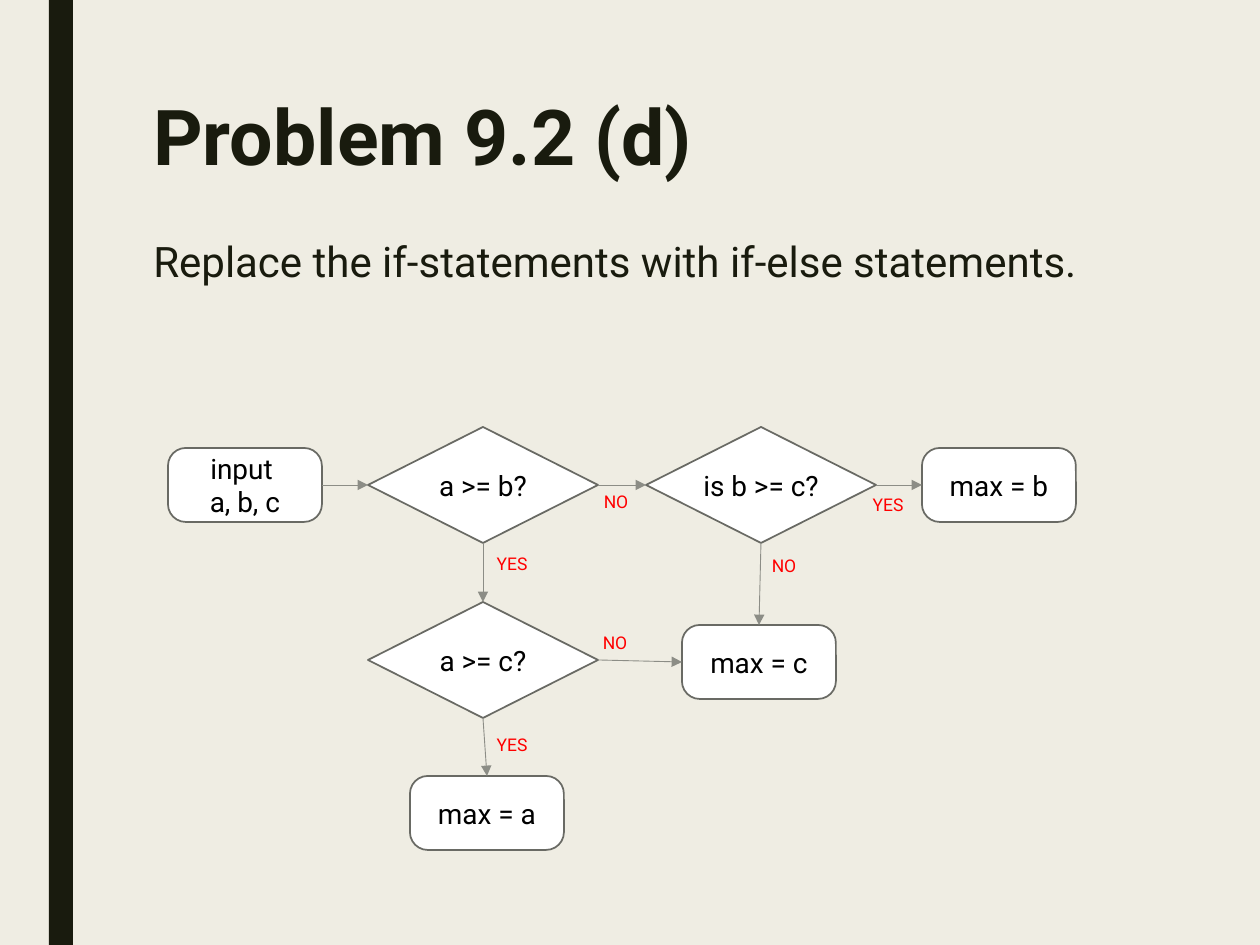
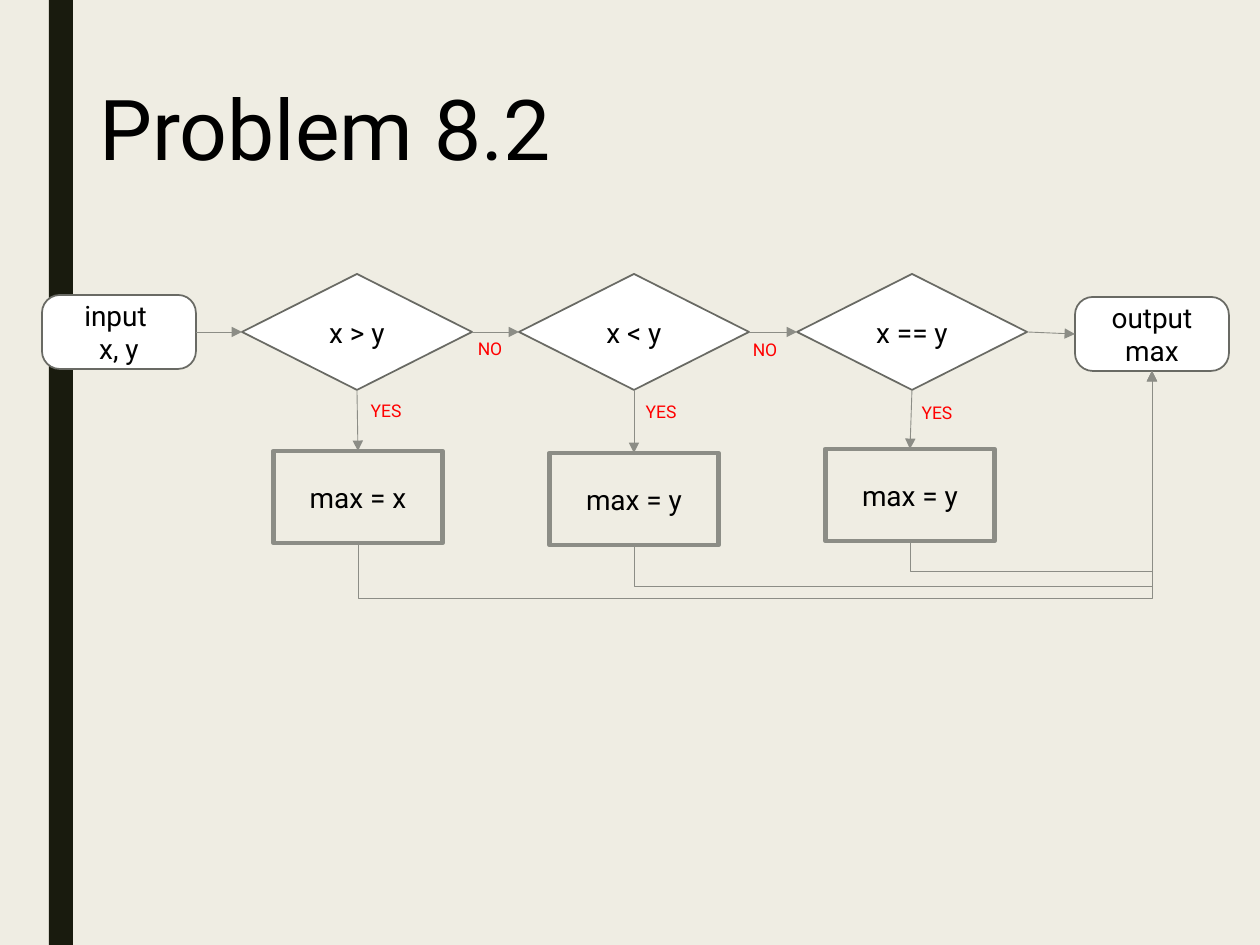
from lxml.etree import SubElement
from pptx import Presentation
from pptx.dml.color import RGBColor
from pptx.enum.shapes import MSO_CONNECTOR, MSO_SHAPE
from pptx.enum.text import MSO_ANCHOR, PP_ALIGN
from pptx.oxml.ns import qn
from pptx.util import Emu, Pt

PX_PER_INCH = 126
PAGE_WIDTH, PAGE_HEIGHT = 1260, 945
FONT = "Roboto"
COLORS = {
    "paper": "EFEDE3", "ink": "191B0E", "black": "000000", "white": "FFFFFF",
    "outline": "696A64", "gray": "8C8D86", "answer": "FF0000",
}
TOP, LEFT, BOTTOM, RIGHT = range(4)
DOWN, ACROSS = (BOTTOM, TOP), (RIGHT, LEFT)

NODE_STYLES = {
    "terminal": dict(shape=MSO_SHAPE.ROUNDED_RECTANGLE, size=(154, 74),
                     fill="white", line="outline", weight=1, wrap=True),
    "decision": dict(shape=MSO_SHAPE.DIAMOND, size=(230, 116),
                     fill="white", line="outline", weight=1, wrap=False),
    "process": dict(shape=MSO_SHAPE.RECTANGLE, size=(169, 92),
                    fill=None, line="gray", weight=2.75, wrap=True),
}
LABEL_SIZES = {"YES": (43, 29), "NO": (34, 29)}

SLIDES = [
    {
        "texts": [
            dict(text="Problem 9.2 (d)", frame=(141, 94, 993, 204), size=44,
                 color="ink", bold=True, spacing=0.89),
            dict(text="Replace the if-statements with if-else statements.",
                 frame=(141, 233, 993, 532), size=24, color="ink", spacing=0.94),
        ],
        "nodes": {
            "input": ("terminal", "input \na, b, c", 245, 485),
            "a or b": ("decision", "a >= b?", 483, 485),
            "b or c": ("decision", "is b >= c?", 761, 485),
            "max b": ("terminal", "max = b", 999, 485),
            "a or c": ("decision", "a >= c?", 483, 660),
            "max c": ("terminal", "max = c", 759, 662),
            "max a": ("terminal", "max = a", 487, 813),
        },
        "links": [
            ("input", "a or b", ACROSS, None),
            ("a or b", "b or c", ACROSS, ("NO", 616, 501)),
            ("b or c", "max b", ACROSS, ("YES", 888, 504)),
            ("a or b", "a or c", DOWN, ("YES", 512, 563)),
            ("a or c", "max c", ACROSS, ("NO", 615, 642)),
            ("b or c", "max c", DOWN, ("NO", 784, 565)),
            ("a or c", "max a", DOWN, ("YES", 512, 744)),
        ],
        "returns": [],
    },
    {
        "texts": [
            dict(text="Problem 8.2", frame=(87, 50, 1086, 135), size=48,
                 color="black", spacing=0.9, anchor=MSO_ANCHOR.BOTTOM),
        ],
        "nodes": {
            "input": ("terminal", "input \nx, y", 119, 332),
            "greater": ("decision", "x > y", 357, 332),
            "less": ("decision", "x < y", 634, 332),
            "equal": ("decision", "x == y", 912, 332),
            "output": ("terminal", "output max", 1152, 334),
            "max x": ("process", "max = x", 358, 497),
            "max y less": ("process", "max = y", 634, 499),
            "max y equal": ("process", "max = y", 910, 495),
        },
        "links": [
            ("input", "greater", ACROSS, None),
            ("greater", "less", ACROSS, ("NO", 490, 348)),
            ("less", "equal", ACROSS, ("NO", 765, 349)),
            ("equal", "output", ACROSS, None),
            ("greater", "max x", DOWN, ("YES", 386, 410)),
            ("less", "max y less", DOWN, ("YES", 661, 411)),
            ("equal", "max y equal", DOWN, ("YES", 937, 412)),
        ],
        "returns": [
            ("max y equal", "output", 572),
            ("max y less", "output", 586),
            ("max x", "output", 598),
        ],
    },
]


def px(length):
    return Emu(round(length * 914400 / PX_PER_INCH))


def color(name):
    return RGBColor.from_string(COLORS[name])


def centered(x, y, size):
    width, height = size
    return [px(n) for n in (x - width / 2, y - height / 2, width, height)]


def write(box, text, size, ink, bold=False, align=PP_ALIGN.LEFT,
          anchor=MSO_ANCHOR.TOP, wrap=True, spacing=None, margin=None):
    frame = box.text_frame
    frame.text = text
    frame.word_wrap = wrap
    frame.vertical_anchor = anchor
    if margin is not None:
        frame.margin_left = frame.margin_right = px(margin)
        frame.margin_top = frame.margin_bottom = px(margin)
    for paragraph in frame.paragraphs:
        paragraph.alignment = align
        if spacing:
            paragraph.line_spacing = spacing
        for span in paragraph.runs:
            span.font.name = FONT
            span.font.size = Pt(size)
            span.font.bold = bold
            span.font.color.rgb = color(ink)


def add_band(page):
    band = page.shapes.add_shape(MSO_SHAPE.RECTANGLE, px(49), 0, px(24), px(PAGE_HEIGHT))
    band.shadow.inherit = False
    band.fill.solid()
    band.fill.fore_color.rgb = color("ink")
    band.line.fill.background()


def add_text(page, text, frame, size, color, **options):
    box = page.shapes.add_textbox(*[px(n) for n in frame])
    write(box, text, size, color, **options)


def add_node(page, kind, text, x, y):
    style = NODE_STYLES[kind]
    node = page.shapes.add_shape(style["shape"], *centered(x, y, style["size"]))
    node.shadow.inherit = False
    if kind == "terminal":
        node.adjustments[0] = 0.24
    if style["fill"]:
        node.fill.solid()
        node.fill.fore_color.rgb = color(style["fill"])
    else:
        node.fill.background()
    node.line.color.rgb = color(style["line"])
    node.line.width = Pt(style["weight"])
    write(node, text, 16, "black", align=PP_ALIGN.CENTER,
          anchor=MSO_ANCHOR.MIDDLE, wrap=style["wrap"], margin=4)
    return node


def add_label(page, text, x, y):
    box = page.shapes.add_textbox(*centered(x, y, LABEL_SIZES[text]))
    write(box, text, 10, "answer", align=PP_ALIGN.CENTER,
          anchor=MSO_ANCHOR.MIDDLE, wrap=False, margin=4)


def style_arrow(arrow):
    arrow.line.color.rgb = color("gray")
    arrow.line.width = Pt(0.5)
    properties = arrow.element.spPr
    SubElement(properties.find(qn("a:ln")), qn("a:tailEnd"), type="triangle")
    SubElement(properties, qn("a:effectLst"))


def add_link(page, start, end, sides):
    arrow = page.shapes.add_connector(MSO_CONNECTOR.STRAIGHT, 0, 0, 0, 0)
    arrow.begin_connect(start, sides[0])
    arrow.end_connect(end, sides[1])
    style_arrow(arrow)


def add_return(page, start, end, lane):
    begin_x, begin_y = start.left + start.width // 2, start.top + start.height
    end_x, end_y = end.left + end.width // 2, end.top + end.height
    middle_x, middle_y = (begin_x + end_x) // 2, (begin_y + end_y) // 2
    half_rise, half_run = (begin_y - end_y) // 2, (end_x - begin_x) // 2
    arrow = page.shapes.add_connector(
        MSO_CONNECTOR.ELBOW, middle_x + half_rise, middle_y + half_run,
        middle_x - half_rise, middle_y - half_run)
    properties = arrow.element.spPr
    properties.find(qn("a:xfrm")).set("rot", "5400000")
    bend = round((begin_y - px(lane)) / (begin_y - end_y) * 100000)
    guides = properties.find(qn("a:prstGeom")).find(qn("a:avLst"))
    SubElement(guides, qn("a:gd"), name="adj1", fmla=f"val {bend}")
    style_arrow(arrow)


def build_page(deck, content):
    page = deck.slides.add_slide(deck.slide_layouts[6])
    add_band(page)
    for text in content["texts"]:
        add_text(page, **text)
    nodes = {name: add_node(page, *node) for name, node in content["nodes"].items()}
    for start, end, sides, label in content["links"]:
        add_link(page, nodes[start], nodes[end], sides)
        if label:
            add_label(page, *label)
    for start, end, lane in content["returns"]:
        add_return(page, nodes[start], nodes[end], lane)


def main():
    deck = Presentation()
    deck.slide_width, deck.slide_height = px(PAGE_WIDTH), px(PAGE_HEIGHT)
    background = deck.slide_master.background.fill
    background.solid()
    background.fore_color.rgb = color("paper")
    for content in SLIDES:
        build_page(deck, content)
    deck.save("out.pptx")


if __name__ == "__main__":
    main()
